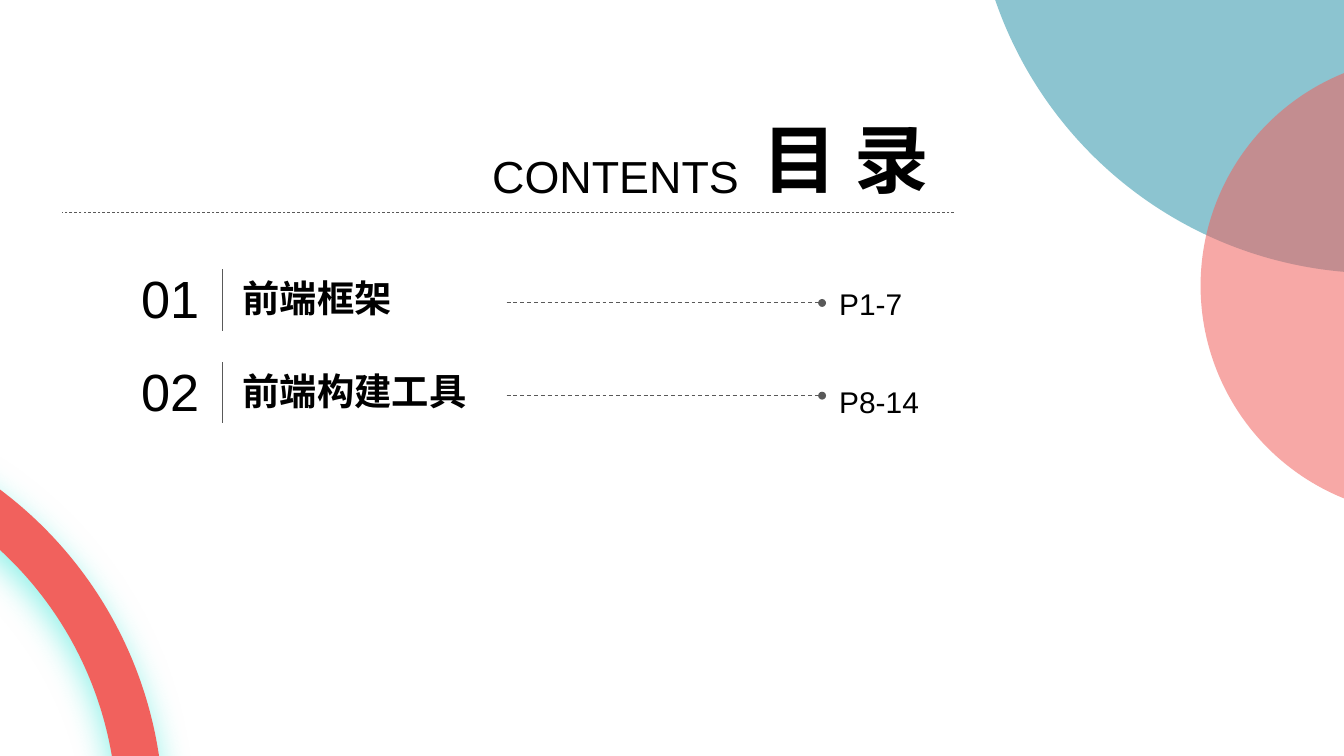
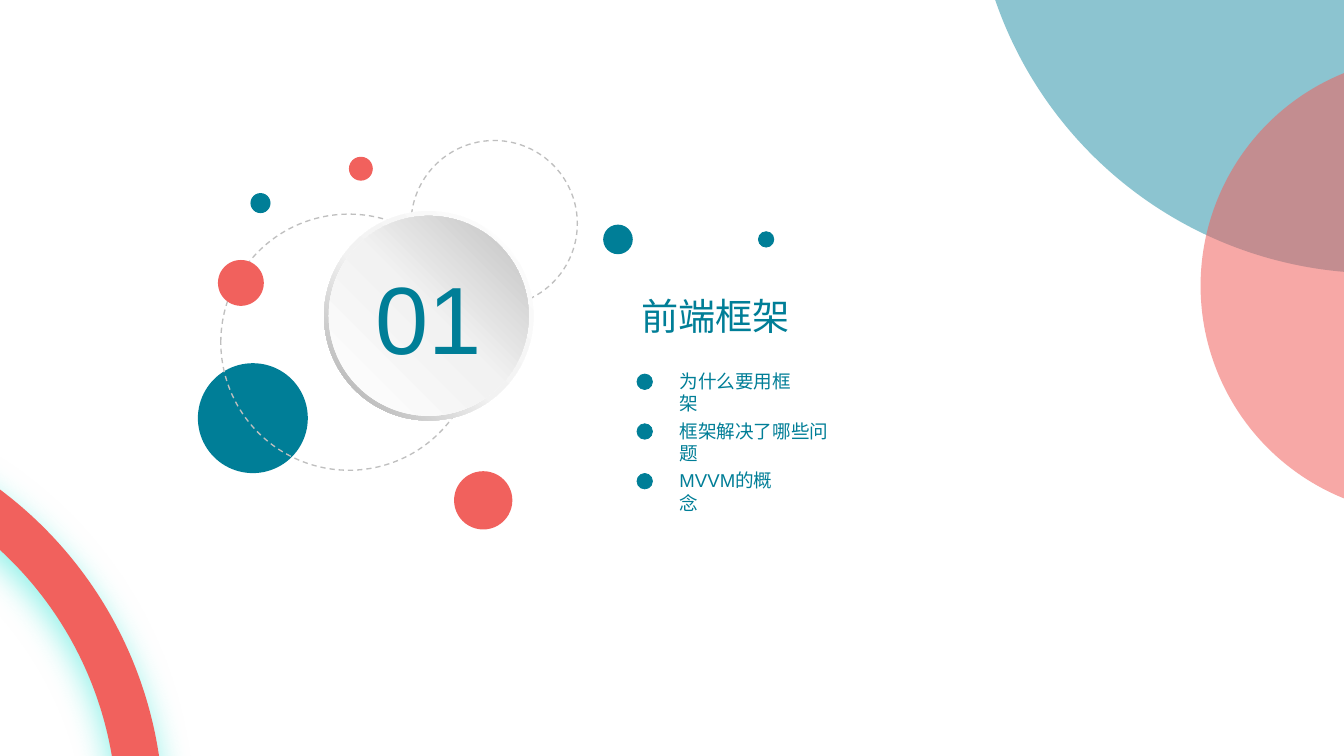
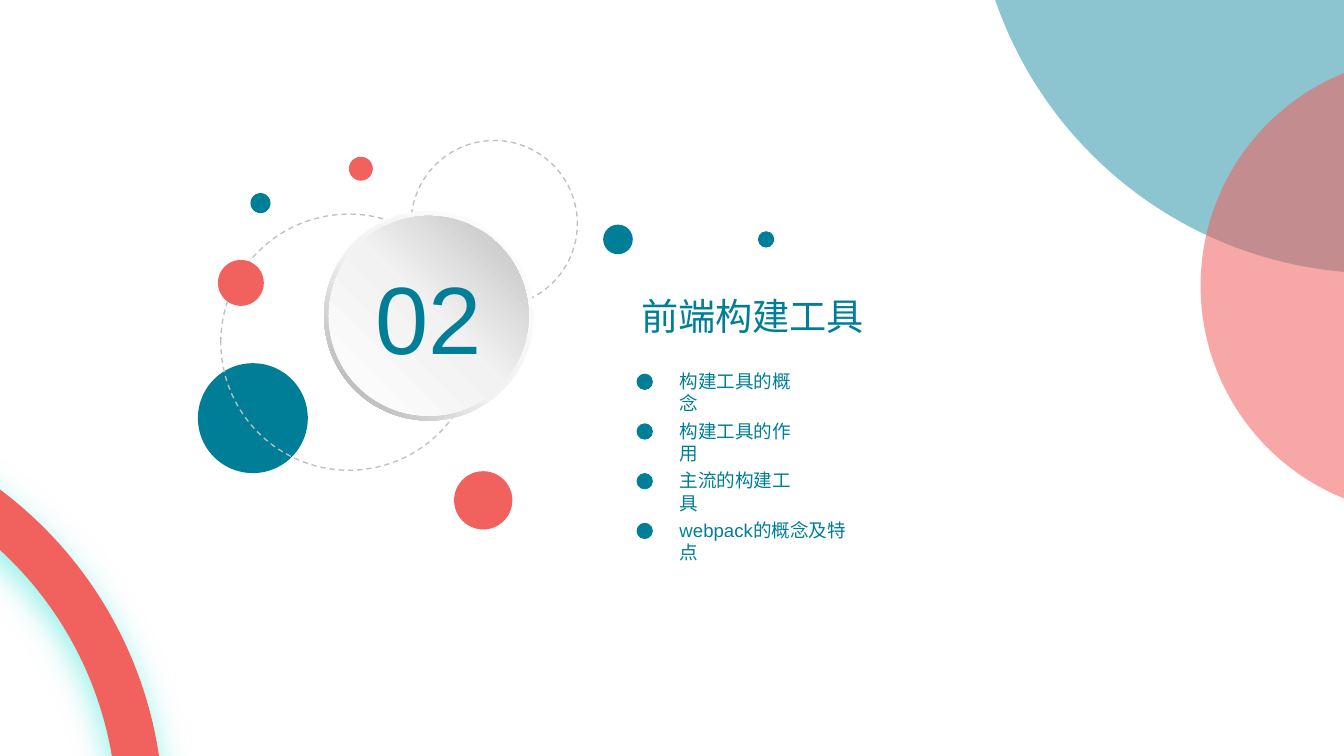
from copy import deepcopy
from lxml.etree import SubElement
from pptx import Presentation
from pptx.dml.color import RGBColor
from pptx.enum.dml import MSO_LINE
from pptx.enum.shapes import MSO_CONNECTOR, MSO_SHAPE
from pptx.enum.text import MSO_ANCHOR, PP_ALIGN
from pptx.oxml.ns import qn
from pptx.util import Inches, Pt

TEAL = RGBColor(0x00, 0x7E, 0x97)
CORAL = RGBColor(0xF1, 0x61, 0x5D)
BLACK = RGBColor(0x00, 0x00, 0x00)
WHITE = RGBColor(0xFF, 0xFF, 0xFF)
PALE = RGBColor(0xF2, 0xF2, 0xF2)
SILVER = RGBColor(0xBF, 0xBF, 0xBF)
GRAY = RGBColor(0xA6, 0xA6, 0xA6)
DARK = RGBColor(0x59, 0x59, 0x59)
GLOW = RGBColor(0x21, 0xE3, 0xD2)
FONT = "Arial"
RING = 0.049
CORE = 0.955


def add_round(shapes, kind, left, top, size, colour=None):
    shape = shapes.add_shape(kind, Inches(left), Inches(top), Inches(size), Inches(size))
    shape.shadow.inherit = False
    shape.line.fill.background()
    if colour is None:
        shape.fill.background()
    else:
        shape.fill.solid()
        shape.fill.fore_color.rgb = colour
    if kind == MSO_SHAPE.DONUT:
        shape.adjustments[0] = RING
    return shape


def write(box, text, size, colour, bold=False, align=PP_ALIGN.LEFT):
    frame = box.text_frame
    frame.text = text
    frame.word_wrap = True
    para = frame.paragraphs[0]
    para.alignment = align
    for span in para.runs:
        span.font.name = FONT
        span.font.size = Pt(size)
        span.font.bold = bold
        span.font.color.rgb = colour


deck = Presentation()
deck.slide_width, deck.slide_height = Inches(14.06), Inches(7.91)
pages = [deck.slides.add_slide(deck.slide_layouts[6]) for number in range(3)]

for page in pages:
    for left, top, size, colour, opacity in (
        (10.18, -5.62, 8.48, TEAL, 45),
        (12.56, 0.59, 4.8, CORAL, 55),
    ):
        circle = add_round(page.shapes, MSO_SHAPE.OVAL, left, top, size, colour)
        tint = circle.element.spPr.find(qn("a:solidFill"))[0]
        SubElement(tint, qn("a:alpha"), val=str(opacity * 1000))
    arc = add_round(page.shapes, MSO_SHAPE.DONUT, -6.83, 4.27, 8.54, CORAL)
    arc.adjustments[0] = 0.057
    effects = arc.element.spPr.find(qn("a:effectLst"))
    shadow = SubElement(effects, qn("a:outerShdw"), blurRad=str(Pt(25)),
                        dist=str(Pt(9)), dir="5400000", algn="t", rotWithShape="0")
    shade = SubElement(shadow, qn("a:srgbClr"), val=str(GLOW))
    SubElement(shade, qn("a:alpha"), val="50000")

contents = pages[0]
labels = [
    (5.05, 1.51, 2.98, 1.24, "CONTENTS", 33.8, False, PP_ALIGN.JUSTIFY),
    (7.88, 1.13, 2.44, 1.05, "目 录", 56.2, True, PP_ALIGN.JUSTIFY),
]
rules = [(9.98, 2.22, 0.65, 2.22, 0.5, True, False)]
entries = [("01", "前端框架", "P1-7", 2.94), ("02", "前端构建工具", "P8-14", 3.96)]
for row, (number, title, span_of_pages, page_top) in enumerate(entries):
    top = 2.74 + 0.97 * row
    labels += [
        (1.32, top, 0.92, 0.76, number, 39.4, False, PP_ALIGN.CENTER),
        (2.44, top + 0.09, 3.87, 0.57, title, 28.1, True, PP_ALIGN.LEFT),
        (8.68, page_top, 1.4, 0.48, span_of_pages, 22.5, False, PP_ALIGN.LEFT),
    ]
    rules += [
        (2.33, top + 0.08, 2.33, top + 0.72, 0.75, False, False),
        (5.3, top + 0.43, 8.6, top + 0.43, 0.75, True, True),
    ]

for left, top, width, height, text, size, bold, align in labels:
    box = contents.shapes.add_textbox(Inches(left), Inches(top), Inches(width), Inches(height))
    write(box, text, size, BLACK, bold, align)

for left, top, right, bottom, weight, dashed, dotted_end in rules:
    rule = contents.shapes.add_connector(
        MSO_CONNECTOR.STRAIGHT, Inches(left), Inches(top), Inches(right), Inches(bottom))
    rule.line.color.rgb = DARK
    rule.line.width = Pt(weight)
    if dashed:
        rule.line.dash_style = MSO_LINE.DASH
    if dotted_end:
        SubElement(rule.element.spPr.find(qn("a:ln")), qn("a:tailEnd"), type="oval")
    SubElement(rule.element.spPr, qn("a:effectLst"))

BIG_DISC = (2.07, 3.8, 1.15, TEAL)
SMALL_DISCS = [
    (2.28, 2.72, 0.48, CORAL),
    (4.75, 4.93, 0.61, CORAL),
    (2.62, 2.02, 0.21, TEAL),
    (6.31, 2.35, 0.31, TEAL),
    (7.93, 2.42, 0.17, TEAL),
    (3.65, 1.64, 0.25, CORAL),
]
ORBITS = [(2.31, 2.24, 2.68), (4.3, 1.47, 1.74)]
BADGE = (3.39, 2.21, 2.19, WHITE)
BADGE_GRADIENTS = [(0.55, GRAY, 225), (0.51, SILVER, 45)]
TOPIC_TOP, TOPIC_PITCH = 3.91, 0.52

sections = [
    ("01", "前端框架", [
        ("为什么要用框架", 1.55), ("框架解决了哪些问题", 1.94), ("MVVM的概念", 1.36)]),
    ("02", "前端构建工具", [
        ("构建工具的概念", 1.55), ("构建工具的作用", 1.55),
        ("主流的构建工具", 1.55), ("webpack的概念及特点", 2.12)]),
]
for page, (number, title, topics) in zip(pages[1:], sections):
    bullets = [(6.66, TOPIC_TOP + TOPIC_PITCH * row, 0.17, TEAL) for row in range(len(topics))]
    for disc in [BIG_DISC, BADGE] + SMALL_DISCS + bullets:
        left, top, size, colour = disc
        if disc == BADGE:
            for orbit_left, orbit_top, orbit_size in ORBITS:
                orbit = add_round(page.shapes, MSO_SHAPE.OVAL, orbit_left, orbit_top, orbit_size)
                orbit.line.color.rgb = SILVER
                orbit.line.width = Pt(1)
                orbit.line.dash_style = MSO_LINE.DASH
        group = page.shapes.add_group_shape()
        inset = size * (1 - CORE) / 2
        ring = add_round(group.shapes, MSO_SHAPE.DONUT, left, top, size, colour)
        core = add_round(group.shapes, MSO_SHAPE.OVAL, left + inset, top + inset, size * CORE, colour)
        if disc == BADGE:
            for shape, (middle, end, angle) in zip((ring, core), BADGE_GRADIENTS):
                shape.fill.gradient()
                shape.fill.gradient_angle = angle
                stop_list = shape.element.spPr.find(".//" + qn("a:gsLst"))
                stop_list.insert(1, deepcopy(stop_list[0]))
                stops = ((0, WHITE), (middle, PALE), (1, end))
                for stop, (position, tone) in zip(shape.fill.gradient_stops, stops):
                    stop.position = position
                    stop.color.rgb = tone
            write(core, number, 72, TEAL, align=PP_ALIGN.CENTER)
            core.text_frame.vertical_anchor = MSO_ANCHOR.MIDDLE

    heading = page.shapes.add_textbox(Inches(6.61), Inches(3.02), Inches(4.79), Inches(0.57))
    write(heading, title, 28, TEAL)
    for row, (topic, width) in enumerate(topics):
        top = TOPIC_TOP - 0.09 + TOPIC_PITCH * row
        box = page.shapes.add_textbox(Inches(7.01), Inches(top), Inches(width), Inches(0.34))
        write(box, topic, 14, TEAL)

deck.save("out.pptx")
